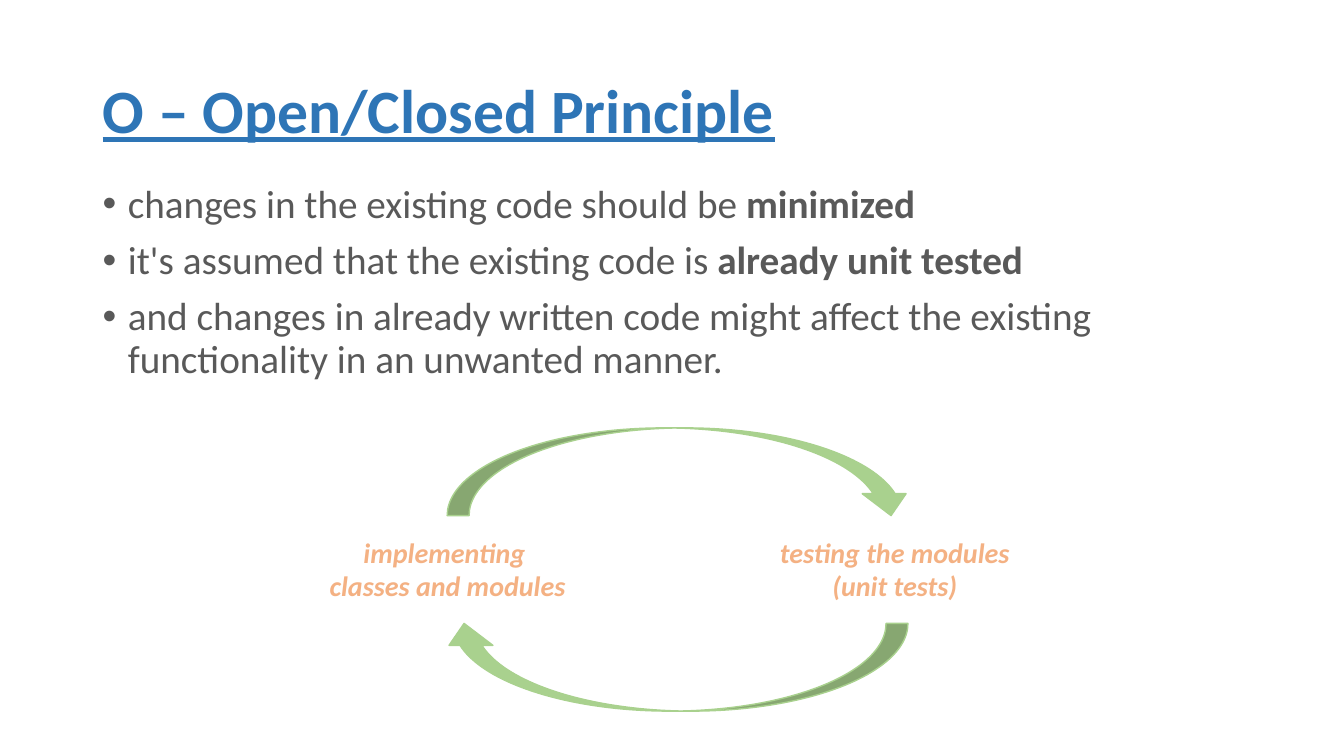
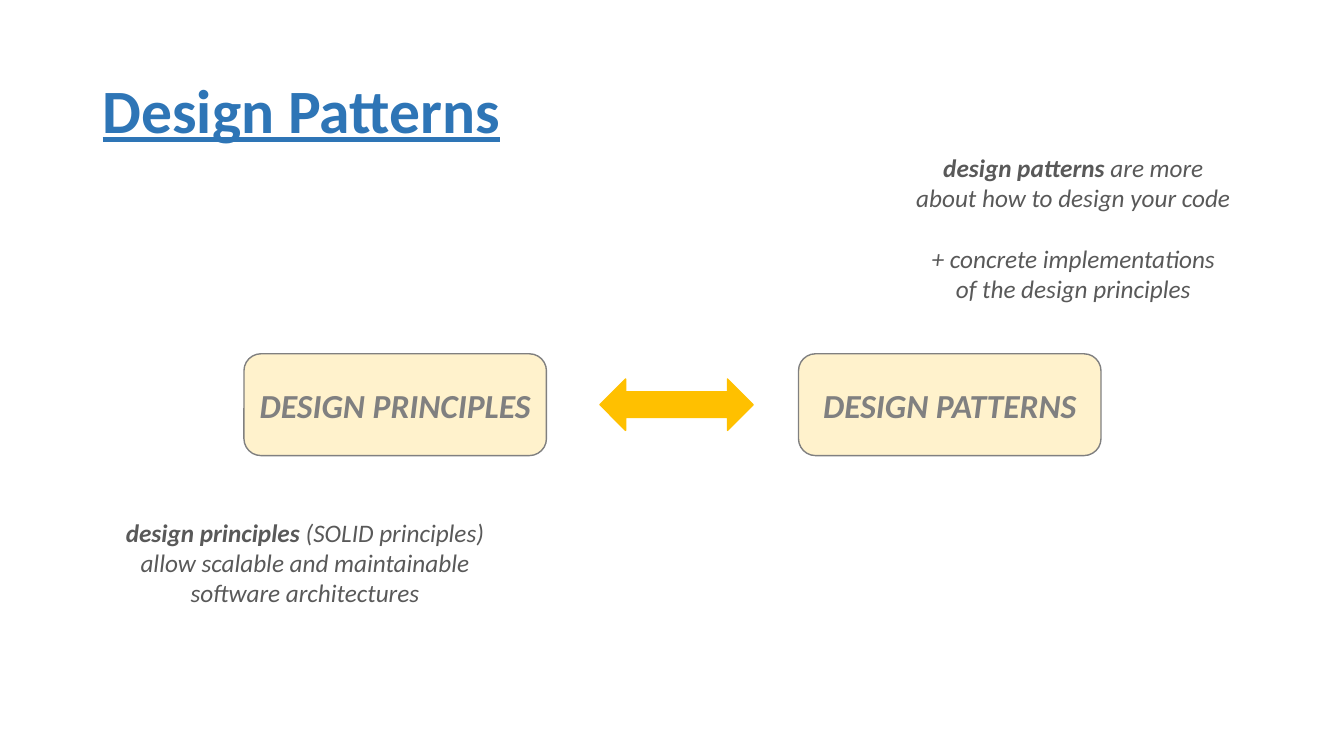
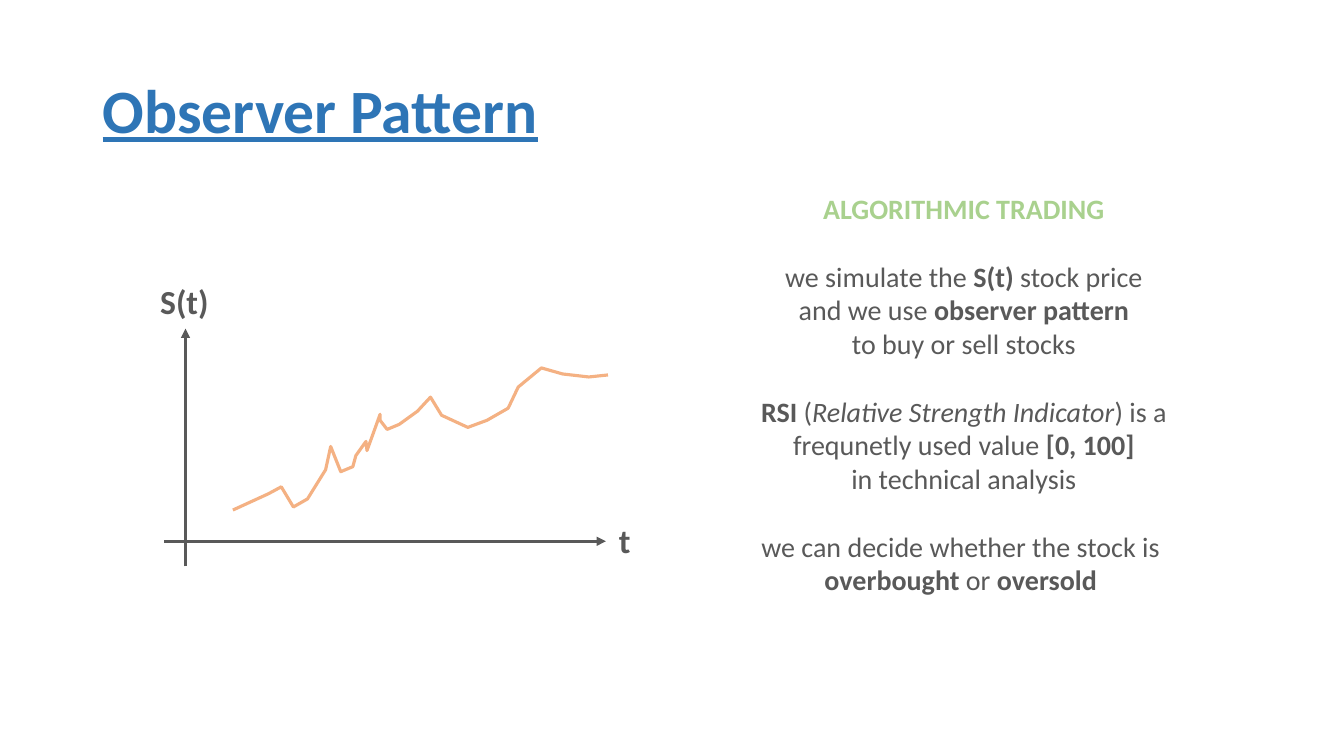
from dataclasses import dataclass

from lxml import etree
from pptx import Presentation
from pptx.dml.color import RGBColor
from pptx.enum.shapes import MSO_CONNECTOR, MSO_SHAPE
from pptx.enum.text import MSO_ANCHOR, MSO_AUTO_SIZE, PP_ALIGN
from pptx.oxml.ns import qn
from pptx.util import Inches, Pt

LEFT, CENTER = PP_ALIGN.LEFT, PP_ALIGN.CENTER
TOP, MIDDLE = MSO_ANCHOR.TOP, MSO_ANCHOR.MIDDLE
FIT_SHAPE = MSO_AUTO_SIZE.SHAPE_TO_FIT_TEXT
STRAIGHT = MSO_CONNECTOR.STRAIGHT
CURVED_ARROW = MSO_SHAPE.CURVED_LEFT_ARROW
DOUBLE_ARROW = MSO_SHAPE.LEFT_RIGHT_ARROW
ROUNDED_BOX = MSO_SHAPE.ROUNDED_RECTANGLE


@dataclass(frozen=True)
class Theme:
    font: str = "Calibri"
    title: str = "2E75B6"
    text: str = "595959"
    orange: str = "F4B183"
    green: str = "A9D18E"
    gold: str = "FFC000"
    cream: str = "FFF2CC"
    gray: str = "808080"
    title_size: int = 44
    body_size: int = 28
    label_size: int = 24
    detail_size: int = 20
    note_size: int = 18
    thin: float = 1
    thick: float = 2.25


THEME = Theme()

# Text is a list of blocks set apart by a gap; a block is a list of lines.
# A line is a string or a list of strings and (string, style) runs,
# where the style holds "b" for bold and "i" for italic.
PRINCIPLE_BULLETS = [
    ["changes in the existing code should be ", ("minimized", "b")],
    ["it's assumed that the existing code is ", ("already unit tested", "b")],
    "and changes in already written code might affect the existing "
    "functionality in an unwanted manner.",
]
CYCLE_STEPS = [
    ((3.16, 5.26, 2.56, 0.77), ["implementing ", "classes and modules"]),
    ((7.63, 5.26, 2.49, 0.77), ["testing the modules", "(unit tests)"]),
]
CYCLE_ARROWS = [((6.31, 2.37, 0.87, 4.62), 270), ((6.26, 4.31, 0.87, 4.62), 90)]

CONCEPTS = [(2.42, "DESIGN PRINCIPLES"), (7.92, "DESIGN PATTERNS")]
CONCEPT_NOTES = [
    ((1.13, 5.08, 3.79, 1.01), [
        [[("design principles", "b"), " (SOLID principles)"],
         "allow scalable and maintainable",
         "software architectures"],
    ]),
    ((8.97, 1.46, 3.35, 1.62), [
        [[("design patterns", "b"), " are more"],
         "about how to design your code"],
        ["+ concrete implementations", "of the design principles"],
    ]),
]

TRADING_HEADING = "ALGORITHMIC TRADING"
TRADING_TEXT = [
    [["we simulate the ", ("S(t)", "b"), " stock price"],
     ["and we use ", ("observer pattern", "b")],
     "to buy or sell stocks"],
    [[("RSI", "b"), " (", ("Relative Strength Indicator", "i"), ") is a"],
     ["frequnetly used value ", ("[0, 100]", "b")],
     "in technical analysis"],
    ["we can decide whether the stock is ",
     [("overbought", "b"), " or ", ("oversold ", "b")]],
]
AXES = [((1.84, 5.62), (1.84, 3.26)), ((1.63, 5.37), (6.01, 5.37))]
AXIS_LABELS = [((1.49, 2.74, 0.69, 0.5), "S(t)"), ((6.04, 5.11, 0.32, 0.5), "t")]
PRICE_POINTS = [
    (2.31, 5.06), (2.66, 4.9), (2.79, 4.83), (2.91, 5.03), (3.05, 4.95),
    (3.23, 4.66), (3.28, 4.43), (3.34, 4.58), (3.38, 4.68), (3.5, 4.63),
    (3.53, 4.52), (3.63, 4.38), (3.64, 4.47), (3.72, 4.25), (3.77, 4.11),
    (3.77, 4.17), (3.84, 4.26), (3.96, 4.21), (4.14, 4.08), (4.27, 3.94),
    (4.38, 4.12), (4.64, 4.24), (4.83, 4.17), (5.04, 4.05), (5.14, 3.84),
    (5.37, 3.65), (5.58, 3.71), (5.84, 3.74), (6.03, 3.72),
]


def rgb(color):
    return RGBColor.from_string(color)


def inches(values):
    return [Inches(value) for value in values]


def write_line(paragraph, line, size, color, bold=False, italic=False,
               align=LEFT):
    paragraph.alignment = align
    font = paragraph.font
    font.name, font.size = THEME.font, Pt(size)
    font.bold, font.italic = bold, italic
    font.color.rgb = rgb(color)
    for part in [line] if isinstance(line, str) else line:
        text, style = (part, "") if isinstance(part, str) else part
        run = paragraph.add_run()
        run.text = text
        if "b" in style:
            run.font.bold = True
        if "i" in style:
            run.font.italic = True


def next_paragraph(frame):
    """Return the empty first paragraph, or a new one after the text."""
    first = frame.paragraphs[0]
    return frame.add_paragraph() if first.runs else first


def write_blocks(frame, blocks, size, color, **style):
    """Write blocks of lines, one line height apart."""
    for block in blocks:
        for index, line in enumerate(block):
            paragraph = next_paragraph(frame)
            if index == 0 and paragraph is not frame.paragraphs[0] and len(frame.paragraphs) > 1:
                paragraph.space_before = Pt(round(size * 1.22, 1))
            write_line(paragraph, line, size, color, **style)


def add_text_frame(slide, box, wrap=False, anchor=TOP):
    frame = slide.shapes.add_textbox(*inches(box)).text_frame
    frame.word_wrap = wrap
    frame.vertical_anchor = anchor
    if not wrap:
        frame.auto_size = FIT_SHAPE
    return frame


def add_preset(slide, kind, box, fill, line):
    shape = slide.shapes.add_shape(kind, *inches(box))
    shape.shadow.inherit = False
    shape.fill.solid()
    shape.fill.fore_color.rgb = rgb(fill)
    shape.line.color.rgb = rgb(line)
    shape.line.width = Pt(THEME.thin)
    return shape


def add_axis(slide, start, end):
    axis = slide.shapes.add_connector(STRAIGHT, *inches(start + end))
    axis.line.color.rgb = rgb(THEME.text)
    axis.line.width = Pt(THEME.thick)
    etree.SubElement(axis.line._get_or_add_ln(), qn("a:tailEnd"), type="triangle")
    etree.SubElement(axis._element.spPr, qn("a:effectLst"))


def add_bullet(paragraph):
    properties = paragraph._p.get_or_add_pPr()
    properties.set("marL", str(Inches(0.25)))
    properties.set("indent", str(Inches(-0.25)))
    etree.SubElement(properties, qn("a:buFont"), typeface="Arial")
    etree.SubElement(properties, qn("a:buChar"), char="•")


def add_titled_slide(presentation, title):
    slide = presentation.slides.add_slide(presentation.slide_layouts[6])
    frame = add_text_frame(slide, (0.92, 0.4, 11.5, 1.45), True, MIDDLE)
    paragraph = frame.paragraphs[0]
    paragraph.line_spacing = 0.9
    write_line(paragraph, title, THEME.title_size, THEME.title, bold=True)
    paragraph.font.underline = True
    return slide


def build_principle(presentation):
    slide = add_titled_slide(presentation, "O – Open/Closed Principle")
    frame = add_text_frame(slide, (0.92, 1.78, 11.5, 5.34), True)
    for index, line in enumerate(PRINCIPLE_BULLETS):
        paragraph = next_paragraph(frame)
        add_bullet(paragraph)
        paragraph.line_spacing = 0.9
        if index:
            paragraph.space_before = Pt(10)
        write_line(paragraph, line, THEME.body_size, THEME.text)
    for box, lines in CYCLE_STEPS:
        write_blocks(add_text_frame(slide, box), [lines], THEME.detail_size,
                     THEME.orange, bold=True, italic=True, align=CENTER)
    for box, rotation in CYCLE_ARROWS:
        arrow = add_preset(slide, CURVED_ARROW, box, THEME.green, THEME.green)
        arrow.rotation = rotation


def build_patterns(presentation):
    slide = add_titled_slide(presentation, "Design Patterns")
    for left, label in CONCEPTS:
        box = add_preset(slide, ROUNDED_BOX, (left, 3.51, 3, 1.01),
                         THEME.cream, THEME.gray)
        box.text_frame.vertical_anchor = MIDDLE
        write_line(box.text_frame.paragraphs[0], label, THEME.label_size,
                   THEME.gray, bold=True, italic=True, align=CENTER)
    add_preset(slide, DOUBLE_ARROW, (5.95, 3.76, 1.52, 0.51),
               THEME.gold, THEME.gold)
    for box, blocks in CONCEPT_NOTES:
        write_blocks(add_text_frame(slide, box), blocks, THEME.note_size,
                     THEME.text, italic=True, align=CENTER)


def build_observer(presentation):
    slide = add_titled_slide(presentation, "Observer Pattern")
    for start, end in AXES:
        add_axis(slide, start, end)
    for box, label in AXIS_LABELS:
        write_line(add_text_frame(slide, box).paragraphs[0], label,
                   THEME.label_size, THEME.text, bold=True)

    first, *rest = [inches(point) for point in PRICE_POINTS]
    builder = slide.shapes.build_freeform(*first)
    builder.add_line_segments(rest, close=False)
    price = builder.convert_to_shape()
    price.shadow.inherit = False
    price.fill.background()
    price.line.color.rgb = rgb(THEME.orange)
    price.line.width = Pt(THEME.thick)

    frame = add_text_frame(slide, (7.41, 1.85, 4.3, 4.14))
    write_line(frame.paragraphs[0], TRADING_HEADING, THEME.detail_size,
               THEME.green, bold=True, align=CENTER)
    write_blocks(frame, TRADING_TEXT, THEME.detail_size, THEME.text, align=CENTER)


def main():
    presentation = Presentation()
    presentation.slide_width = Inches(13.33)
    presentation.slide_height = Inches(7.5)
    build_principle(presentation)
    build_patterns(presentation)
    build_observer(presentation)
    presentation.save("out.pptx")


if __name__ == "__main__":
    main()
